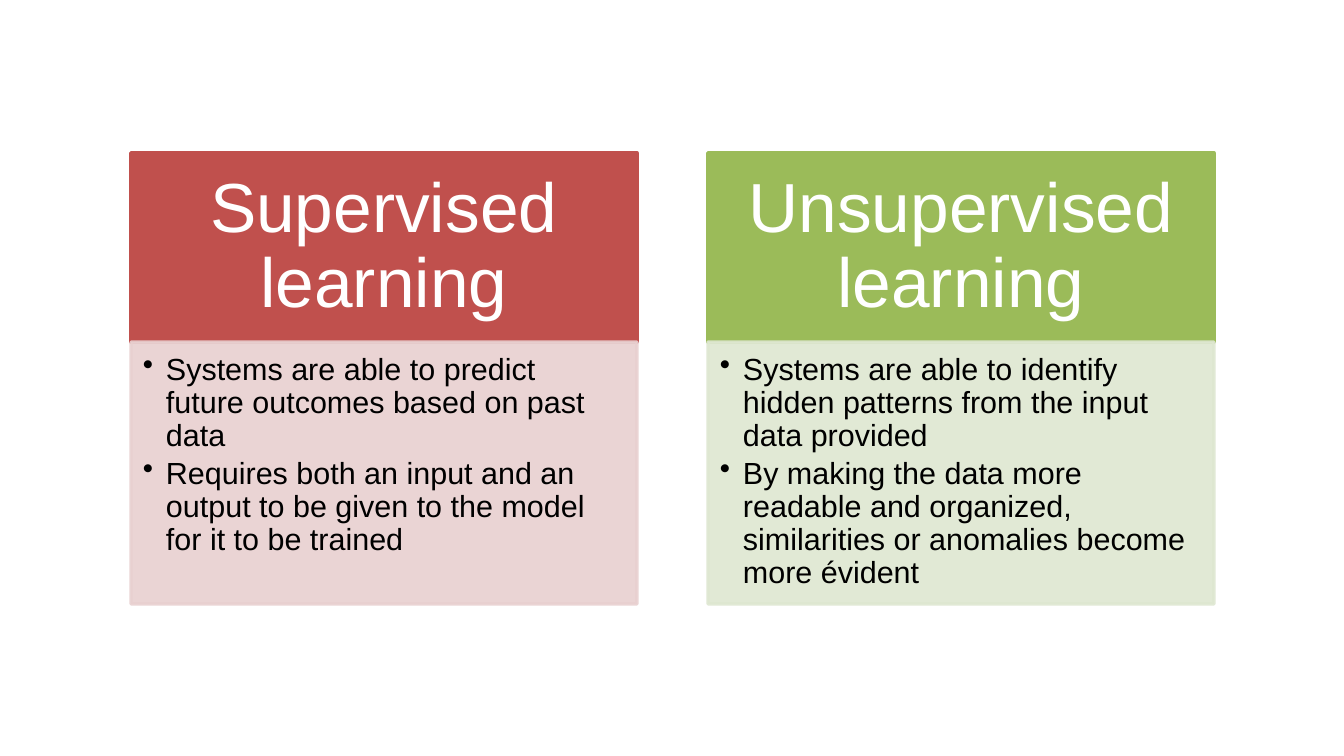
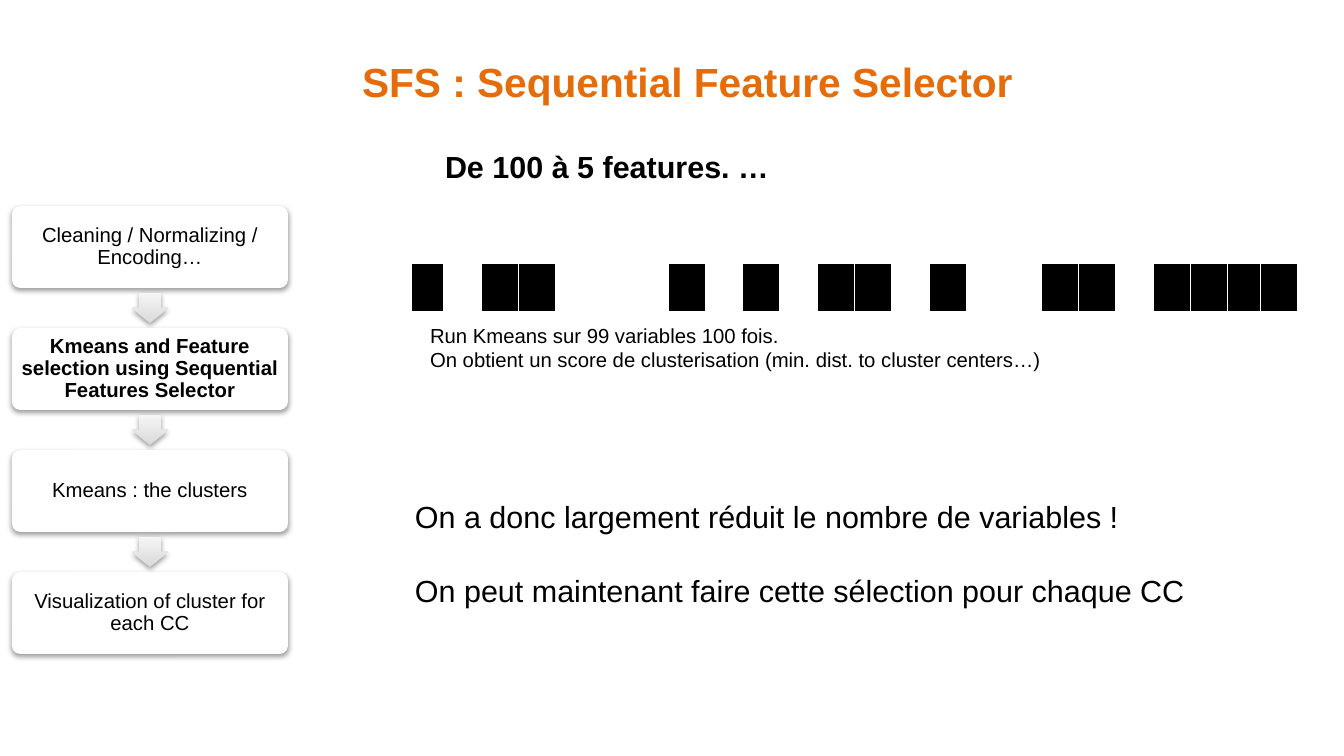
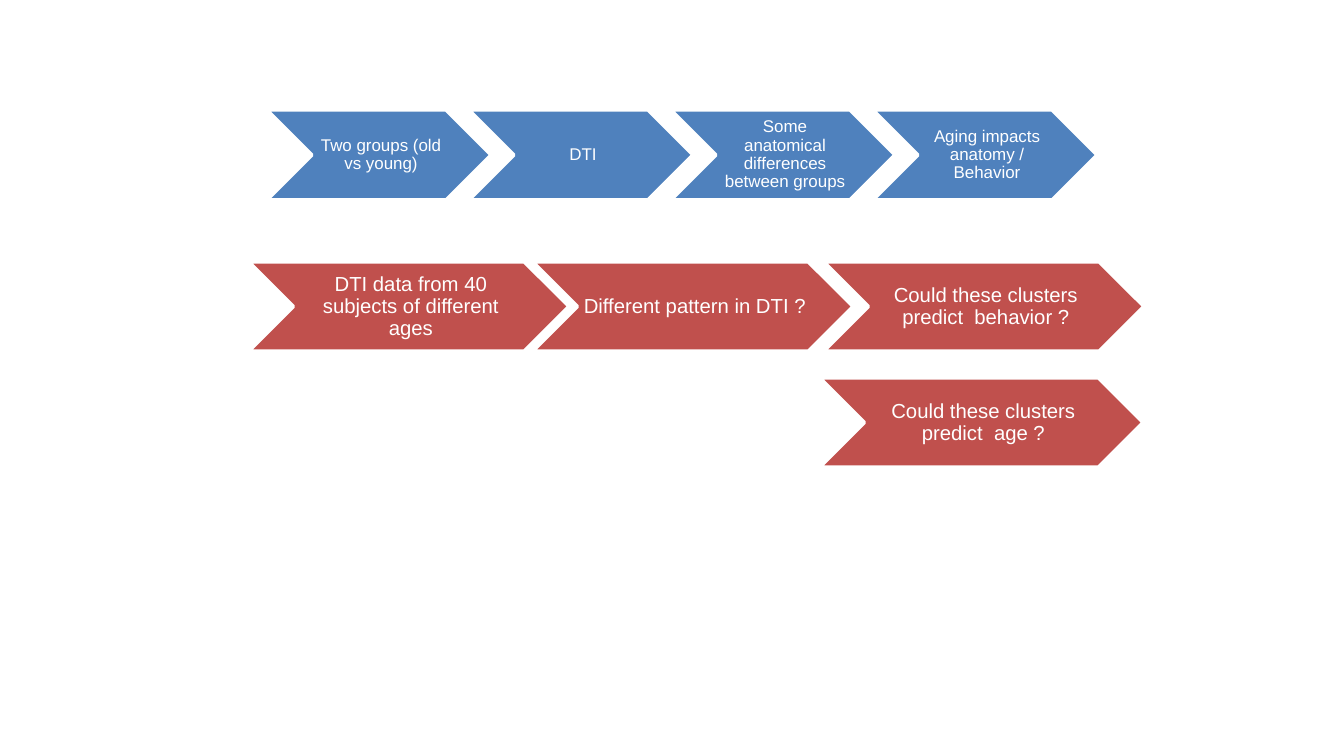
from dataclasses import dataclass

from lxml.etree import SubElement
from pptx import Presentation
from pptx.dml.color import RGBColor
from pptx.enum.shapes import MSO_SHAPE
from pptx.enum.text import MSO_ANCHOR, MSO_AUTO_SIZE, PP_ALIGN
from pptx.oxml.ns import qn
from pptx.shapes.autoshape import Shape
from pptx.slide import Slide
from pptx.text.text import TextFrame
from pptx.util import Emu, Pt

# Shared look
FONT = "Arial"
COLORS = {
    "black": "000000",
    "white": "FFFFFF",
    "orange": "E46C0A",
    "red": "C0504D",
    "pale red": "E8D0D0",
    "green": "9BBB59",
    "pale green": "DEE7D1",
    "blue": "4F81BD",
    "dark gray": "DADADA",
    "light gray": "F5F5F5",
}
PX_PER_INCH = 122
TEXT_INSETS = (12, 6, 12, 6)
TITLE_ONLY, BLANK = 5, 6


@dataclass(frozen=True)
class Box:
    left: int
    top: int
    width: int
    height: int


@dataclass(frozen=True)
class Card:
    left: int
    heading: str
    bullets: tuple[str, ...]
    color: str
    body_color: str


@dataclass(frozen=True)
class Note:
    box: Box
    lines: tuple[str, ...]
    size: int
    bold: bool = False
    gap: int = 0


@dataclass(frozen=True)
class Chevron:
    box: Box
    text: str


CARDS = (
    Card(131, "Supervised learning",
         ("Systems are able to predict future outcomes based on past data",
          "Requires both an input and an output to be given to the model for it to be trained"),
         "red", "pale red"),
    Card(708, "Unsupervised learning",
         ("Systems are able to identify hidden patterns from the input data provided",
          "By making the data more readable and organized, similarities or anomalies "
          "become more évident"),
         "green", "pale green"),
)

NOTES = (
    Note(Box(433, 142, 723, 49), ("De 100 à 5 features. …",), 18, bold=True),
    Note(Box(403, 492, 897, 123),
         ("On a donc largement réduit le nombre de variables !",
          "On peut maintenant faire cette sélection pour chaque CC"), 18, gap=22),
    Note(Box(418, 317, 926, 61),
         ("Run Kmeans sur 99 variables 100 fois.",
          "On obtient un score de clusterisation (min. dist. to cluster centers…)"), 12),
)
STEPS = (
    "Cleaning / Normalizing / Encoding…",
    "Kmeans and Feature selection using Sequential Features Selector",
    "Kmeans : the clusters",
    "Visualization of cluster for each CC",
)
CURRENT_STEP = 1
FEATURES = "#.##...#.#.##.#..##.####"  # "#" marks a kept feature
NARROW_COLUMNS = (0, 22)

STUDY_STAGES = tuple(
    Chevron(Box(267 + 202 * index, 110, 224, 90), text)
    for index, text in enumerate((
        "Two groups (old vs young)",
        "DTI",
        "Some anatomical differences between groups",
        "Aging impacts anatomy / Behavior",
    ))
)
PROJECT_STAGES = (
    Chevron(Box(249, 262, 320, 89), "DTI data from 40 subjects of different ages"),
    Chevron(Box(533, 262, 320, 89), "Different pattern in DTI ?"),
    Chevron(Box(824, 262, 320, 89), "Could these clusters predict  behavior ?"),
    Chevron(Box(820, 378, 323, 89), "Could these clusters predict  age ?"),
)


def px(length: float) -> Emu:
    return Emu(round(length * 914400 / PX_PER_INCH))


def place(box: Box) -> tuple[Emu, Emu, Emu, Emu]:
    return px(box.left), px(box.top), px(box.width), px(box.height)


def rgb(color: str) -> RGBColor:
    return RGBColor.from_string(COLORS[color])


def write_text(frame: TextFrame, *lines: str, size: int, color: str = "black",
               bold: bool = False, align: PP_ALIGN = PP_ALIGN.LEFT,
               anchor: MSO_ANCHOR = MSO_ANCHOR.TOP,
               insets: tuple[int, int, int, int] = TEXT_INSETS,
               spacing: float = 1.0, gap: int = 0, bullet_indent: int = 0) -> None:
    frame.word_wrap = True
    frame.auto_size = MSO_AUTO_SIZE.NONE
    frame.vertical_anchor = anchor
    (frame.margin_left, frame.margin_top,
     frame.margin_right, frame.margin_bottom) = map(px, insets)
    for index, line in enumerate(lines):
        para = frame.add_paragraph() if index else frame.paragraphs[0]
        para.alignment = align
        para.line_spacing = spacing
        if index:
            para.space_before = Pt(gap)
        if bullet_indent:
            properties = para._p.get_or_add_pPr()
            properties.set("marL", str(px(bullet_indent)))
            properties.set("indent", str(-px(bullet_indent)))
            SubElement(properties, qn("a:buChar"), char="•")
        span = para.add_run()
        span.text = line
        span.font.name = FONT
        span.font.size = Pt(size)
        span.font.bold = bold
        span.font.color.rgb = rgb(color)


def add_shape(page: Slide, kind: MSO_SHAPE, box: Box, fill: str,
              line: str | None = None, opacity: int = 100) -> Shape:
    shape = page.shapes.add_shape(kind, *place(box))
    shape.shadow.inherit = False
    shape.fill.solid()
    shape.fill.fore_color.rgb = rgb(fill)
    if line:
        shape.line.width = Pt(2)
        shape.line.color.rgb = rgb(line)
    else:
        shape.line.fill.background()
    if opacity < 100:
        for color in shape._element.spPr.iter(qn("a:srgbClr")):
            SubElement(color, qn("a:alpha"), val=str(opacity * 1000))
    return shape


def add_soft_shadow(shape: Shape) -> None:
    effects = shape._element.spPr.find(qn("a:effectLst"))
    shadow = SubElement(effects, qn("a:outerShdw"), blurRad=str(Pt(3)), dist=str(Pt(1.6)),
                        dir="5400000", rotWithShape="0")
    color = SubElement(shadow, qn("a:srgbClr"), val=COLORS["black"])
    SubElement(color, qn("a:alpha"), val="38000")


def add_card(page: Slide, card: Card) -> None:
    heading = add_shape(page, MSO_SHAPE.RECTANGLE, Box(card.left, 153, 506, 189),
                        card.color, line=card.color)
    write_text(heading.text_frame, card.heading, size=41, color="white",
               align=PP_ALIGN.CENTER, anchor=MSO_ANCHOR.MIDDLE,
               insets=(39, 22, 39, 22), spacing=0.9)
    body = add_shape(page, MSO_SHAPE.RECTANGLE, Box(card.left, 342, 506, 262),
                     card.body_color, line=card.body_color, opacity=90)
    write_text(body.text_frame, *card.bullets, size=18, insets=(12, 12, 17, 20),
               spacing=0.9, gap=3, bullet_indent=23)


def add_feature_table(page: Slide) -> None:
    box, narrow = Box(411, 263, 888, 50), 33
    wide = (box.width - narrow * len(NARROW_COLUMNS)) / (len(FEATURES) - len(NARROW_COLUMNS))
    table = page.shapes.add_table(1, len(FEATURES), *place(box)).table
    table.first_row = table.horz_banding = False
    for index, mark in enumerate(FEATURES):
        table.columns[index].width = px(narrow if index in NARROW_COLUMNS else wide)
        cell = table.cell(0, index)
        properties = cell._tc.get_or_add_tcPr()
        for side, width in (("L", 1), ("R", 1), ("T", 1), ("B", 3)):
            border = SubElement(properties, qn(f"a:ln{side}"), w=str(Pt(width)))
            fill = SubElement(border, qn("a:solidFill"))
            SubElement(fill, qn("a:srgbClr"), val=COLORS["white"])
        cell.fill.solid()
        cell.fill.fore_color.rgb = rgb("black" if mark == "#" else "white")


def add_process(page: Slide) -> None:
    first, pitch = Box(12, 206, 276, 82), 122
    arrow_width, arrow_height = 36, 30
    for index, text in enumerate(STEPS):
        top = first.top + pitch * index
        step = add_shape(page, MSO_SHAPE.ROUNDED_RECTANGLE,
                         Box(first.left, top, first.width, first.height), "white")
        step.adjustments[0] = 0.1
        add_soft_shadow(step)
        write_text(step.text_frame, text, size=12, bold=index == CURRENT_STEP,
                   align=PP_ALIGN.CENTER, anchor=MSO_ANCHOR.MIDDLE,
                   insets=(6, 6, 6, 6), spacing=0.9)
        if index == len(STEPS) - 1:
            continue
        # Arrow centred in the gap below the step
        arrow = add_shape(page, MSO_SHAPE.DOWN_ARROW,
                          Box(first.left + (first.width - arrow_width) // 2,
                              top + (first.height + pitch - arrow_height) // 2,
                              arrow_width, arrow_height), "light gray")
        arrow.adjustments[0], arrow.adjustments[1] = 0.6, 0.5
        arrow.fill.gradient()
        arrow.fill.gradient_angle = 90
        for stop, color in zip(arrow.fill.gradient_stops, ("dark gray", "light gray")):
            stop.color.rgb = rgb(color)
        add_soft_shadow(arrow)


def add_chevrons(page: Slide, chevrons: tuple[Chevron, ...], color: str, size: int,
                 insets: tuple[int, int, int, int]) -> None:
    for chevron in chevrons:
        shape = add_shape(page, MSO_SHAPE.CHEVRON, chevron.box, color, line="white")
        write_text(shape.text_frame, chevron.text, size=size, color="white",
                   align=PP_ALIGN.CENTER, anchor=MSO_ANCHOR.MIDDLE,
                   insets=insets, spacing=0.9)


def set_title(page: Slide, text: str, box: Box) -> None:
    title = page.shapes.title
    title.left, title.top, title.width, title.height = place(box)
    write_text(title.text_frame, text, size=24, color="orange", bold=True)


def main() -> None:
    deck = Presentation()
    deck.slide_width, deck.slide_height = px(1344), px(756)

    # Two kinds of learning
    page = deck.slides.add_slide(deck.slide_layouts[BLANK])
    for card in CARDS:
        add_card(page, card)

    # Feature selection
    page = deck.slides.add_slide(deck.slide_layouts[TITLE_ONLY])
    set_title(page, "SFS : Sequential Feature Selector", Box(350, 51, 684, 61))
    add_feature_table(page)
    for note in NOTES:
        frame = page.shapes.add_textbox(*place(note.box)).text_frame
        write_text(frame, *note.lines, size=note.size, bold=note.bold, gap=note.gap)
    add_process(page)

    # Study and project stages
    page = deck.slides.add_slide(deck.slide_layouts[BLANK])
    add_chevrons(page, STUDY_STAGES, "blue", 10, (5, 1, 1, 1))
    add_chevrons(page, PROJECT_STAGES, "red", 12, (6, 2, 2, 2))

    deck.save("out.pptx")


if __name__ == "__main__":
    main()
